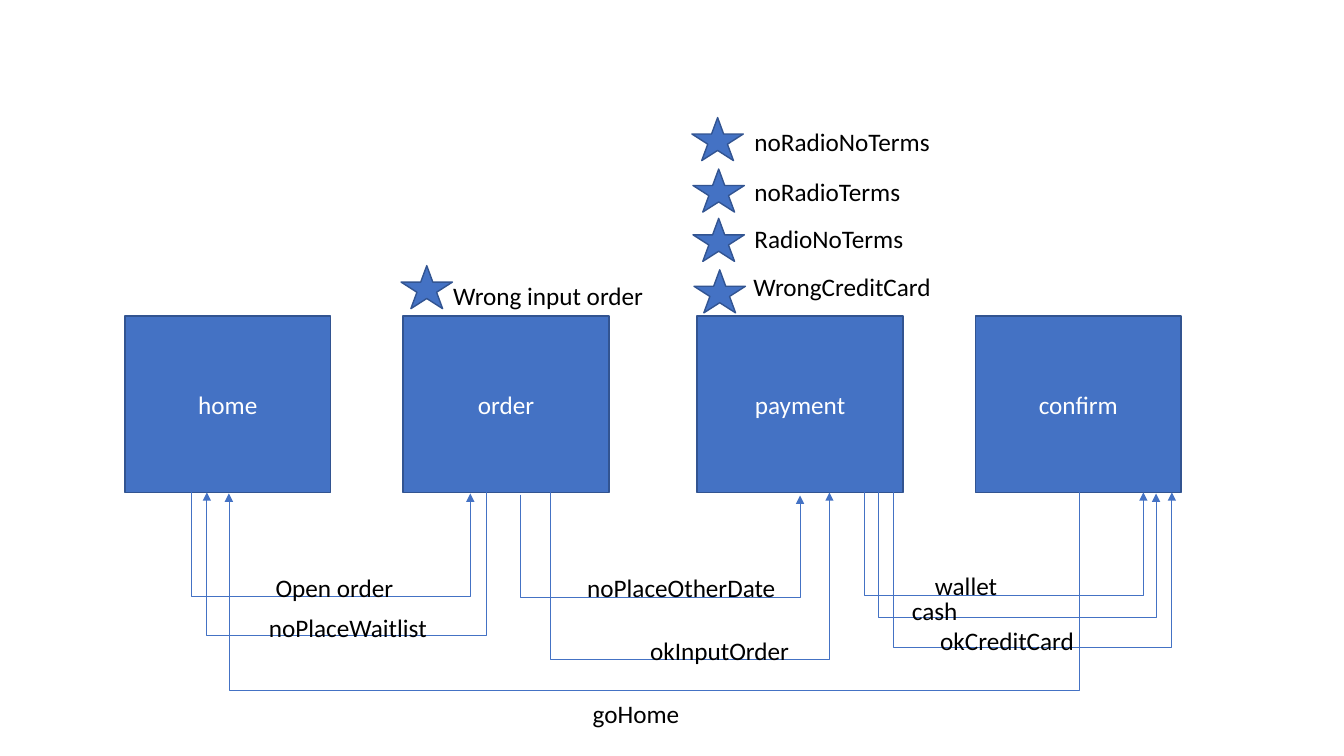
from lxml.etree import SubElement
from pptx import Presentation
from pptx.dml.color import RGBColor
from pptx.enum.shapes import MSO_CONNECTOR, MSO_SHAPE
from pptx.enum.text import MSO_ANCHOR, MSO_AUTO_SIZE, PP_ALIGN
from pptx.oxml.ns import qn
from pptx.util import Pt

EMU_PER_PX = 9525
COLORS = {"fill": "4472C4", "outline": "325491", "page": "FFFFFF", "text": "000000"}

PAGE_TOP, PAGE_WIDTH, PAGE_HEIGHT = 301, 196, 168
STAR_WIDTH, STAR_HEIGHT = 49, 41
LABEL_WIDTH, LABEL_HEIGHT = 208, 38

PAGES = [("home", 119), ("order", 384), ("payment", 664), ("confirm", 929)]

# Start x, end x, y of the arrow tip, y of the horizontal run
ROUTES = [
    (182, 448, 470, 570),
    (496, 762, 472, 571),
    (823, 1089, 469, 569),
    (524, 790, 469, 631),
    (463, 197, 469, 608),
    (836, 1101, 470, 590),
    (851, 1116, 469, 619),
    (1028, 218, 470, 661),
]

STARS = [(382, 253), (661, 257), (660, 208), (660, 161), (659, 112)]

# Text, left, top, width
RIGHT_LABELS = [
    ("Open order", 240, 540, 144),
    ("noPlaceOtherDate", 540, 540, LABEL_WIDTH),
    ("okInputOrder", 553, 600, LABEL_WIDTH),
    ("noPlaceWaitlist", 208, 578, LABEL_WIDTH),
    ("Wrong input order", 414, 262, LABEL_WIDTH),
]

# Text, left, top
LEFT_LABELS = [
    ("noRadioNoTerms", 709, 116),
    ("noRadioTerms", 709, 163),
    ("RadioNoTerms", 709, 208),
    ("WrongCreditCard", 708, 254),
    ("wallet", 881, 538),
    ("cash", 859, 562),
    ("okCreditCard", 886, 591),
    ("goHome", 555, 660),
]


def px(value):
    return round(value * EMU_PER_PX)


def color(name):
    return RGBColor.from_string(COLORS[name])


def write(shape, text, color_name, alignment):
    shape.text_frame.text = text
    paragraph = shape.text_frame.paragraphs[0]
    paragraph.alignment = alignment
    font = paragraph.runs[0].font
    font.name, font.size = "Calibri", Pt(18)
    font.color.rgb = color(color_name)


def add_filled_shape(slide, kind, left, top, width, height):
    shape = slide.shapes.add_shape(kind, px(left), px(top), px(width), px(height))
    shape.shadow.inherit = False
    shape.fill.solid()
    shape.fill.fore_color.rgb = color("fill")
    shape.line.color.rgb = color("outline")
    shape.line.width = Pt(1)
    return shape


def add_page(slide, name, left):
    shape = add_filled_shape(slide, MSO_SHAPE.RECTANGLE, left, PAGE_TOP, PAGE_WIDTH, PAGE_HEIGHT)
    shape.text_frame.vertical_anchor = MSO_ANCHOR.MIDDLE
    write(shape, name, "page", PP_ALIGN.CENTER)


def add_route(slide, start_x, end_x, tip_y, run_y):
    """Elbow arrow that leaves downwards, runs sideways and comes back up."""
    start_y = tip_y - 1
    center_x, center_y = (start_x + end_x) / 2, (start_y + tip_y) / 2
    rightwards = end_x > start_x
    # The elbow is laid out sideways and turned by a quarter around its center
    half_width, half_height = 0.5, abs(end_x - start_x) / 2
    side = 1 if rightwards else -1
    connector = slide.shapes.add_connector(
        MSO_CONNECTOR.ELBOW,
        px(center_x + side * half_width), px(center_y - half_height),
        px(center_x - side * half_width), px(center_y + half_height))
    connector.line.color.rgb = color("fill")
    connector.line.width = Pt(0.5)

    properties = connector._element.spPr
    quarter_turns = 3 if rightwards else 1
    properties.find(qn("a:xfrm")).set("rot", str(quarter_turns * 5400000))
    adjustments = properties.find(qn("a:prstGeom")).find(qn("a:avLst"))
    SubElement(adjustments, qn("a:gd"), name="adj1", fmla=f"val {(run_y - start_y) * 100000}")
    SubElement(properties.find(qn("a:ln")), qn("a:tailEnd"), type="triangle")
    SubElement(properties, qn("a:effectLst"))


def add_label(slide, text, left, top, width=LABEL_WIDTH, alignment=PP_ALIGN.LEFT):
    box = slide.shapes.add_textbox(px(left), px(top), px(width), px(LABEL_HEIGHT))
    box.text_frame.word_wrap = True
    box.text_frame.auto_size = MSO_AUTO_SIZE.SHAPE_TO_FIT_TEXT
    write(box, text, "text", alignment)


def main():
    presentation = Presentation()
    presentation.slide_width, presentation.slide_height = px(1280), px(720)
    slide = presentation.slides.add_slide(presentation.slide_layouts[6])

    # Pages of the order flow
    for name, left in PAGES:
        add_page(slide, name, left)

    # Transitions between pages
    for route in ROUTES:
        add_route(slide, *route)

    # Stars for input errors
    for left, top in STARS:
        add_filled_shape(slide, MSO_SHAPE.STAR_5_POINT, left, top, STAR_WIDTH, STAR_HEIGHT)

    # Labels of transitions and errors
    for label in RIGHT_LABELS:
        add_label(slide, *label, alignment=PP_ALIGN.RIGHT)
    for label in LEFT_LABELS:
        add_label(slide, *label)

    presentation.save("out.pptx")


if __name__ == "__main__":
    main()
